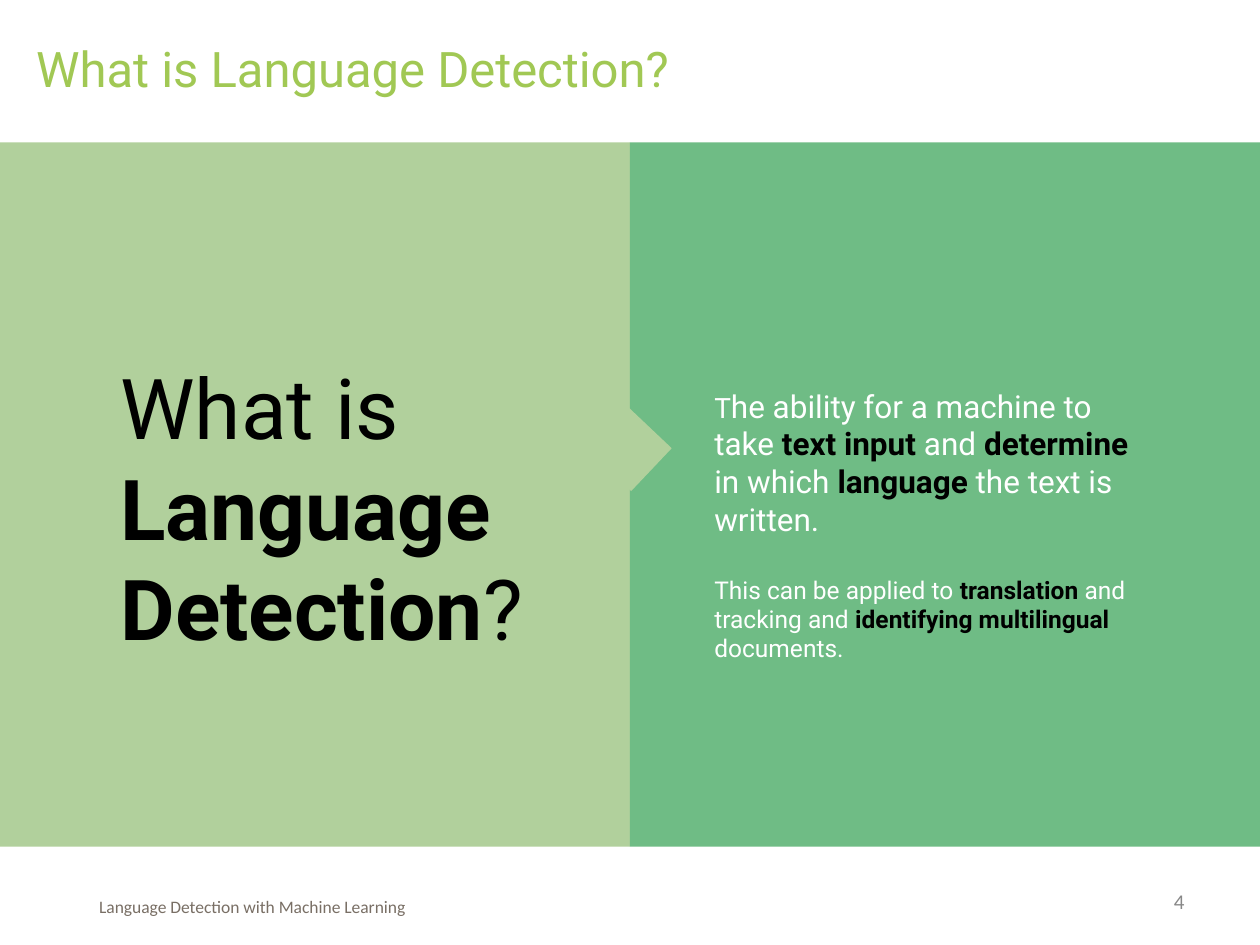
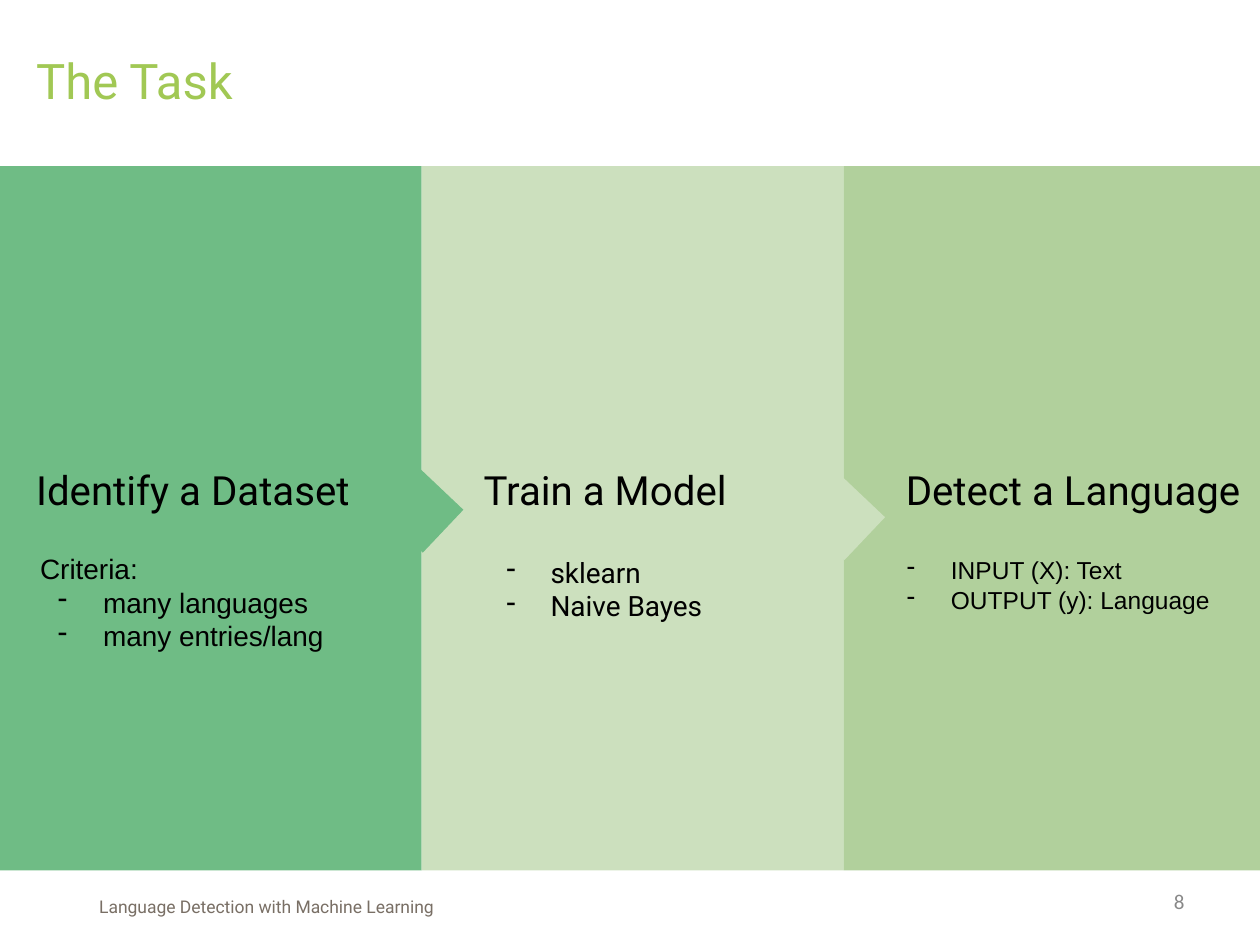
from dataclasses import dataclass
from typing import NamedTuple

import lxml.etree
import pptx
import pptx.dml.color
import pptx.enum.shapes
import pptx.enum.text
import pptx.oxml.ns
import pptx.presentation
import pptx.slide
import pptx.text.text
import pptx.util

Cm = pptx.util.Cm
Pt = pptx.util.Pt
SHAPE = pptx.enum.shapes.MSO_SHAPE
ALIGN = pptx.enum.text.PP_ALIGN
ANCHOR = pptx.enum.text.MSO_ANCHOR

GREEN, LEAF, PALE = "6FBC85", "B1D09C", "CCE0BE"
LIME, BROWN, GREY = "A1C854", "796F65", "888888"
BLACK, WHITE = "000000", "FFFFFF"

WIDTH, HEIGHT = 25.4, 19.05
BAND = 14.2
NOTCH = 1.19
FOOTER = "Language Detection with Machine Learning"


class Box(NamedTuple):
    left: float
    top: float
    width: float
    height: float


class Piece(NamedTuple):
    text: str
    bold: bool = False
    size: float | None = None


class Panel(NamedTuple):
    width: float
    color: str
    notch: float | None = None


class Step(NamedTuple):
    left: float
    title: str
    area: Box
    lines: list["Para"]


@dataclass
class Para:
    pieces: list[Piece]
    size: float
    color: str = BLACK
    font: str = "Roboto"
    align: ALIGN = ALIGN.LEFT
    before: float = 0
    hang: float = 0


def paint(color: str) -> pptx.dml.color.RGBColor:
    return pptx.dml.color.RGBColor.from_string(color)


def line(text: str, size: float, color: str = BLACK, font: str = "Roboto",
         align: ALIGN = ALIGN.LEFT, hang: float = 0) -> Para:
    return Para([Piece(text)], size, color, font, align, hang=hang)


def add_block(slide: pptx.slide.Slide, kind: SHAPE, box: Box, color: str,
              angle: float = 0) -> None:
    shape = slide.shapes.add_shape(kind, *map(Cm, box))
    shape.shadow.inherit = False
    shape.fill.solid()
    shape.fill.fore_color.rgb = paint(color)
    shape.line.fill.background()
    shape.rotation = angle


def add_dash(para: pptx.text.text._Paragraph, hang: float) -> None:
    """Give a paragraph a black dash and a hanging indent."""
    props = para._p.get_or_add_pPr()
    props.set("marL", str(Cm(1.27)))
    props.set("indent", str(-Cm(hang)))
    qn = pptx.oxml.ns.qn
    tint = lxml.etree.SubElement(props, qn("a:buClr"))
    lxml.etree.SubElement(tint, qn("a:srgbClr"), val=BLACK)
    lxml.etree.SubElement(props, qn("a:buChar"), char="-")


def add_text(slide: pptx.slide.Slide, box: Box, paras: list[Para],
             anchor: ANCHOR = ANCHOR.TOP) -> None:
    frame = slide.shapes.add_textbox(*map(Cm, box)).text_frame
    frame.word_wrap = True
    frame.vertical_anchor = anchor
    for index, item in enumerate(paras):
        para = frame.add_paragraph() if index else frame.paragraphs[0]
        para.alignment = item.align
        if item.before:
            para.space_before = Pt(item.before)
        if item.hang:
            add_dash(para, item.hang)
        para.font.name = item.font
        para.font.size = Pt(item.size)
        para.font.color.rgb = paint(item.color)
        for piece in item.pieces:
            run = para.add_run()
            run.text = piece.text
            if piece.bold:
                run.font.bold = True
                run.font.color.rgb = paint(BLACK)
            if piece.size:
                run.font.size = Pt(piece.size)


def add_panels(slide: pptx.slide.Slide, top: float, panels: list[Panel]) -> None:
    """Set panels side by side, then the notches that point to the next one."""
    left = 0
    notches = []
    for panel in panels:
        add_block(slide, SHAPE.RECTANGLE, Box(left, top, panel.width, BAND), panel.color)
        left += panel.width
        if panel.notch:
            box = Box(left - NOTCH / 2, panel.notch - NOTCH / 2, NOTCH, NOTCH)
            notches.append((box, panel.color))
    for box, color in notches:
        add_block(slide, SHAPE.FLOWCHART_PROCESS, box, color, 43.4)


def add_frame(deck: pptx.presentation.Presentation, title: str, top: float,
              number: int, font: str, band: float, panels: list[Panel]) -> pptx.slide.Slide:
    """Start a slide with its panels, title, footer and number."""
    slide = deck.slides.add_slide(deck.slide_layouts[6])
    add_panels(slide, band, panels)
    add_text(slide, Box(0.48, top, 15.85, 1.45), [line(title, 28, LIME)])
    add_text(slide, Box(1.75, 17.93, 9.09, 0.69), [line(FOOTER, 10, BROWN, font)])
    add_text(slide, Box(18.21, 17.65, 5.92, 1.02),
             [line(str(number), 12, GREY, "Calibri", ALIGN.RIGHT)], ANCHOR.MIDDLE)
    return slide


def add_intro(deck: pptx.presentation.Presentation) -> None:
    half = WIDTH / 2
    slide = add_frame(deck, "What is Language Detection?", 0.66, 4, "Calibri", 2.87,
                      [Panel(half, LEAF, 9.06), Panel(half, GREEN)])
    ask = [Piece("What is "), Piece("Language Detection", True), Piece("?")]
    add_text(slide, Box(2.18, 7.04, 9.4, 4.11), [Para(ask, 48)])
    goal = [Piece("T", size=16), Piece("he ability for a machine to take "),
            Piece("text input", True), Piece(" and "), Piece("determine", True),
            Piece(" in which "), Piece("language", True), Piece(" the text is written.")]
    use = [Piece("This can be applied to "), Piece("translation", True),
           Piece(" and tracking and "), Piece("identifying multilingual", True),
           Piece(" documents.")]
    add_text(slide, Box(14.15, 7.67, 9.09, 1.27),
             [Para(goal, 18, WHITE), Para(use, 14, WHITE, before=21)])


def add_task(deck: pptx.presentation.Presentation) -> None:
    slide = add_frame(deck, "The Task", 0.89, 8, "Roboto", 3.35,
                      [Panel(8.5, GREEN, 10.3), Panel(8.5, PALE, 10.45),
                       Panel(8.4, LEAF)])
    steps = [
        Step(0.48, "Identify a Dataset", Box(0.56, 11, 6.22, 0.94),
             [line("Criteria:", 16, font="Arial"),
              line("many languages", 16, font="Arial", hang=0.91),
              line("many entries/lang", 16, font="Arial", hang=0.91)]),
        Step(9.5, "Train a Model", Box(9.58, 11.07, 4.93, 0.94),
             [line("sklearn", 16, hang=0.89), line("Naive Bayes", 16, hang=0.89)]),
        Step(18.01, "Detect a Language", Box(17.65, 11.07, 7.09, 0.94),
             [line("INPUT (X): Text", 14, font="Arial", hang=0.89),
              line("OUTPUT (y): Language", 14, font="Arial", hang=0.89)]),
    ]
    for step in steps:
        add_text(slide, Box(step.left, 9.25, 9.09, 1.27), [line(step.title, 23)])
        add_text(slide, step.area, step.lines)


def main() -> None:
    deck = pptx.Presentation()
    deck.slide_width, deck.slide_height = Cm(WIDTH), Cm(HEIGHT)
    add_intro(deck)
    add_task(deck)
    deck.save("out.pptx")


if __name__ == "__main__":
    main()
